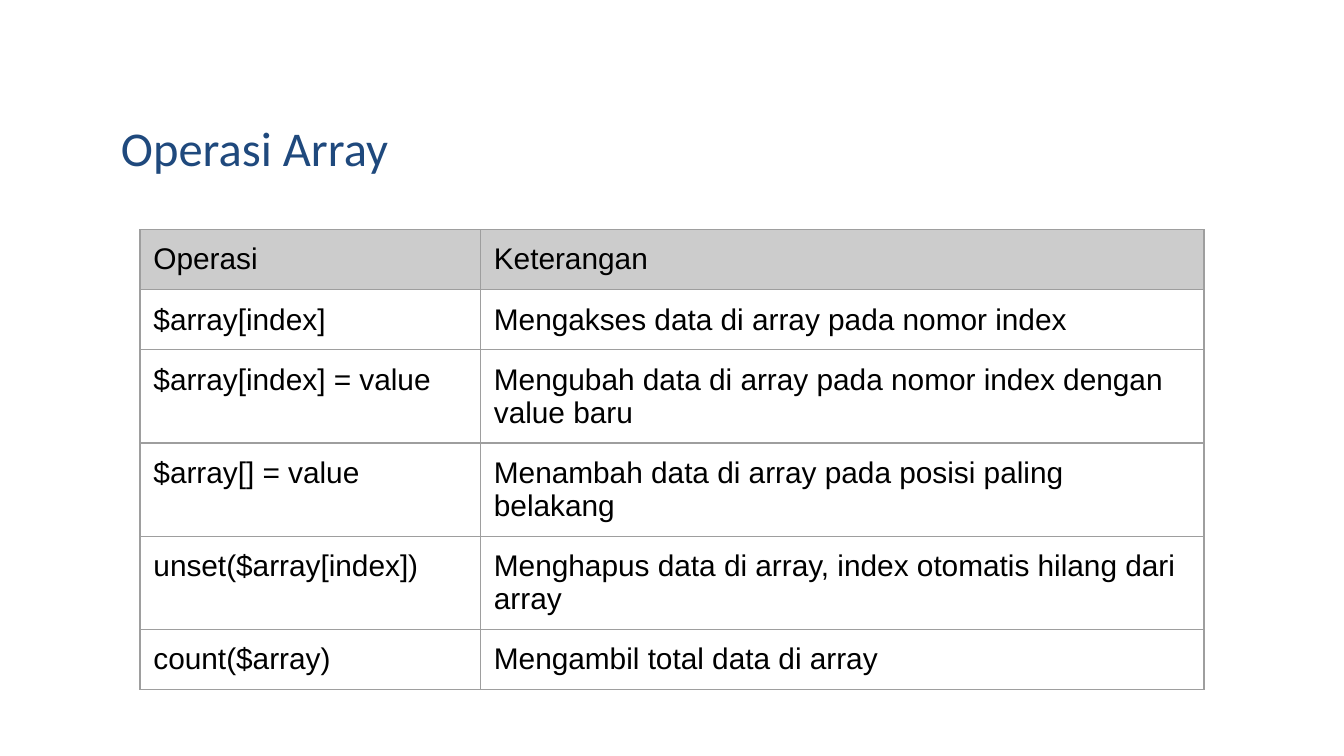
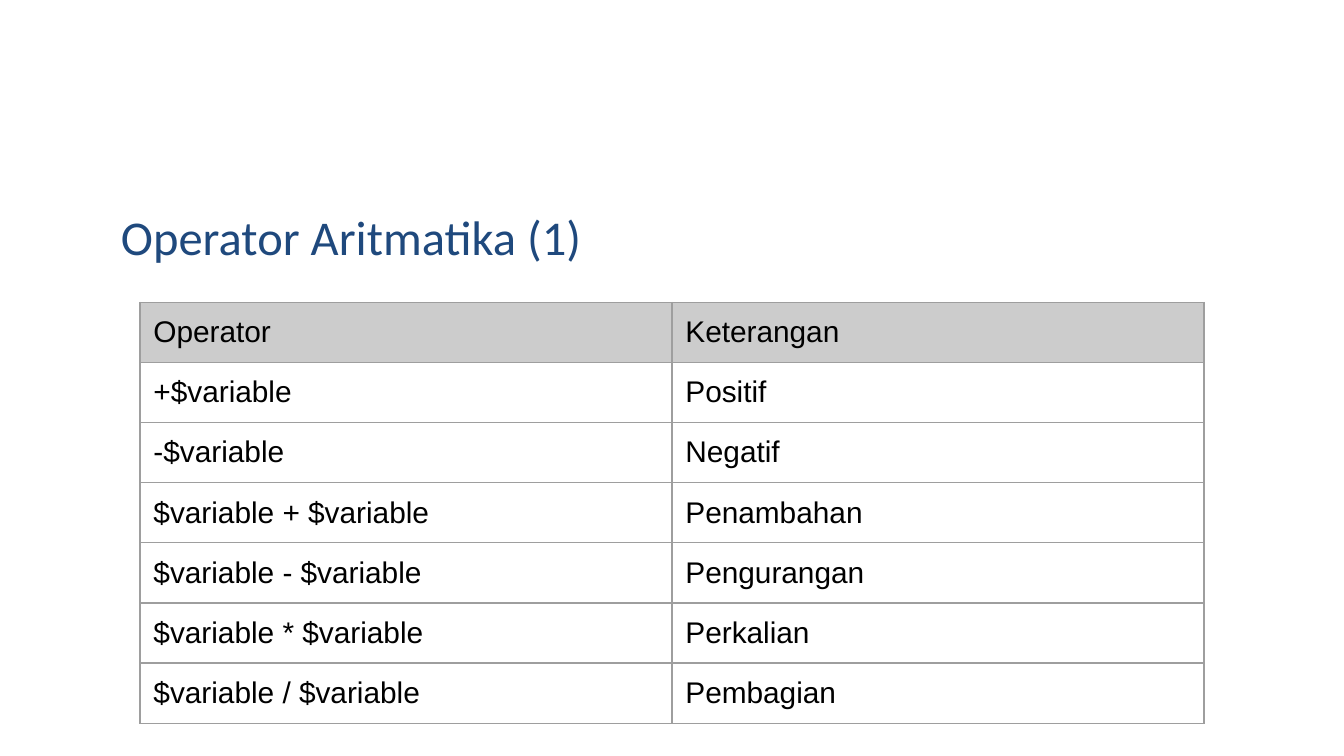
from pptx import Presentation
from pptx.dml.color import RGBColor
from pptx.enum import text
from pptx.oxml import ns
from pptx.util import Pt
from lxml import etree

DECK = [
    dict(
        title="Operasi Array", head=56.2, top=123, cols=(182.4, 387.6),
        rows=[
            ("Operasi", "Keterangan"),
            ("$array[index]", "Mengakses data di array pada nomor index"),
            ("$array[index] = value",
             "Mengubah data di array pada nomor index dengan value baru"),
            ("$array[] = value",
             "Menambah data di array pada posisi paling belakang"),
            ("unset($array[index])",
             "Menghapus data di array, index otomatis hilang dari array"),
            ("count($array)", "Mengambil total data di array"),
        ],
    ),
    dict(
        title="Operator Aritmatika (1)", head=103.7, top=162, cols=(285, 285),
        rows=[
            ("Operator", "Keterangan"),
            ("+$variable", "Positif"),
            ("-$variable", "Negatif"),
            ("$variable + $variable", "Penambahan"),
            ("$variable - $variable", "Pengurangan"),
            ("$variable * $variable", "Perkalian"),
            ("$variable / $variable", "Pembagian"),
        ],
    ),
]

HUES = dict(page="FFFFFF", title="1F497D", text="000000",
            head="CCCCCC", rule="9E9E9E")
LEFT, HIGH, PAD = 75, 30.2, 7.2


def hue(name):
    return RGBColor.from_string(HUES[name])


def pad(part):
    part.margin_left = part.margin_right = Pt(PAD)
    part.margin_top = part.margin_bottom = Pt(PAD)


def write(frame, words, face, size, tone):
    para = frame.paragraphs[0]
    para.alignment = text.PP_ALIGN.LEFT
    run = para.add_run()
    run.text = words
    run.font.name = face
    run.font.size = Pt(size)
    run.font.color.rgb = hue(tone)


def edge(cell):
    props = cell._tc.get_or_add_tcPr()
    for spot, side in enumerate("LRTB"):
        line = etree.Element(ns.qn(f"a:ln{side}"), w=str(Pt(0.75)))
        fill = etree.SubElement(line, ns.qn("a:solidFill"))
        etree.SubElement(fill, ns.qn("a:srgbClr"), val=HUES["rule"])
        props.insert(spot, line)


def add_title(slide, words, top):
    title = slide.shapes.title
    title.left, title.top = Pt(57.6), Pt(top)
    title.width, title.height = Pt(605.5), Pt(42.5)
    frame = title.text_frame
    frame.word_wrap = True
    frame.auto_size = text.MSO_AUTO_SIZE.NONE
    frame.vertical_anchor = text.MSO_ANCHOR.TOP
    pad(frame)
    write(frame, words, "Calibri", 26, "title")


def add_grid(slide, rows, cols, top):
    grid = slide.shapes.add_table(
        len(rows), len(cols), Pt(LEFT), Pt(top),
        Pt(sum(cols)), Pt(HIGH * len(rows))).table
    grid.first_row = grid.horz_banding = False
    for col, wide in zip(grid.columns, cols):
        col.width = Pt(wide)
    for r, row in enumerate(rows):
        grid.rows[r].height = Pt(HIGH)
        for c, words in enumerate(row):
            cell = grid.cell(r, c)
            pad(cell)
            write(cell.text_frame, words, "Arial", 16, "text")
            if r == 0:
                cell.fill.solid()
                cell.fill.fore_color.rgb = hue("head")
            else:
                cell.fill.background()
            edge(cell)


def main():
    deck = Presentation()
    deck.slide_width, deck.slide_height = Pt(720), Pt(405)
    for item in DECK:
        slide = deck.slides.add_slide(deck.slide_layouts[5])
        slide.background.fill.solid()
        slide.background.fill.fore_color.rgb = hue("page")
        add_title(slide, item["title"], item["head"])
        add_grid(slide, item["rows"], item["cols"], item["top"])
    deck.save("out.pptx")


if __name__ == "__main__":
    main()
